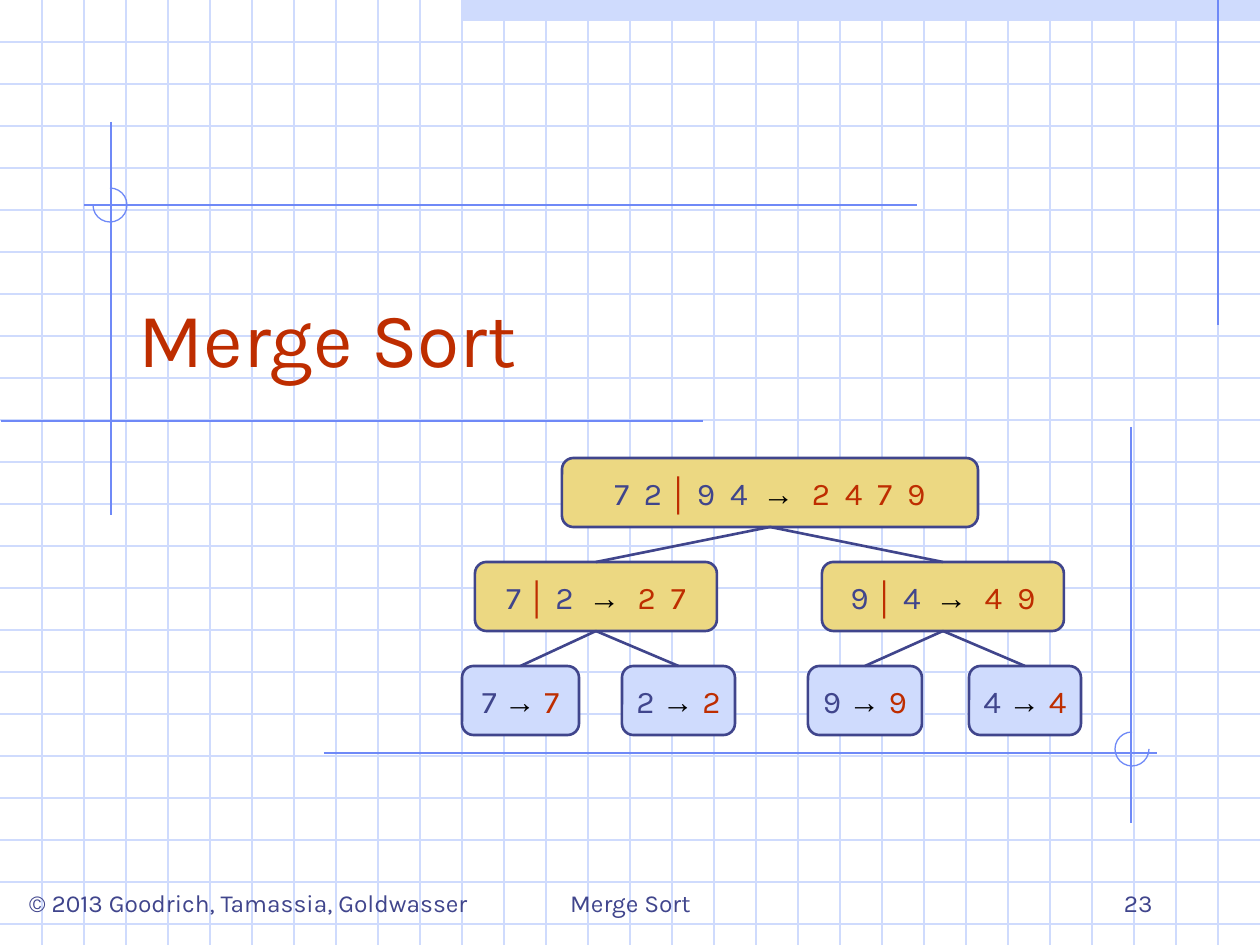
import pptx
import pptx.util
import pptx.dml.color
import pptx.enum.shapes
import pptx.enum.text
import pptx.oxml.ns
import lxml.etree

SHAPE = pptx.enum.shapes.MSO_SHAPE
ALIGN = pptx.enum.text.PP_ALIGN
ANCHOR = pptx.enum.text.MSO_ANCHOR

INK, RED, BLACK = "40458C", "BE2D00", "000000"
PALE, RULE, GOLD = "CFDBFD", "6F89F7", "ECD882"
FONT, SYMBOL_FONT = "Karla", "Arial"

WIDTH, HEIGHT, GRID = 1260, 945, 42
NODE_HEIGHT = 69

TITLE = "Merge Sort"
TITLE_BOX = (126, 231, 1071, 158)

# text, box, alignment, anchor, wrap
FOOTERS = [
    ("© 2013 Goodrich, Tamassia, Goldwasser", (4, 882, 489, 43), ALIGN.CENTER, ANCHOR.TOP, False),
    ("Merge Sort", (431, 861, 399, 63), ALIGN.CENTER, ANCHOR.BOTTOM, True),
    ("23", (903, 861, 262, 63), ALIGN.RIGHT, ANCHOR.BOTTOM, True),
]

# x1, y1, x2, y2
RULES = [
    (1218, 0, 1218, 325),
    (111, 122, 111, 515),
    (703, 421, 1, 421),
    (917, 205, 84, 205),
    (324, 753, 1157, 753),
    (1131, 427, 1131, 823),
]

# left, top, start and end angle in degrees, clockwise from the right
ARCS = [(93, 188, 270, 180), (1115, 732, 0, 270)]
ARC_SIZE = 34

# name: left, top, width, halves to sort, sorted result
NODES = {
    "root": (562, 458, 416, ["7  2", "9  4"], "2  4  7  9"),
    "left": (475, 562, 242, ["7", "2"], "2  7"),
    "right": (822, 562, 242, ["9", "4"], "4  9"),
    "seven": (462, 666, 117, ["7"], "7"),
    "two": (622, 666, 113, ["2"], "2"),
    "nine": (808, 666, 114, ["9"], "9"),
    "four": (969, 666, 112, ["4"], "4"),
}
CHILDREN = {"root": ["left", "right"], "left": ["seven", "two"], "right": ["nine", "four"]}


def px(*lengths):
    return [pptx.util.Emu(round(length * 914400 / 126)) for length in lengths]


def rgb(value):
    return pptx.dml.color.RGBColor.from_string(value)


def style_run(run, size, color, font=FONT, bold=False):
    run.font.size = pptx.util.Pt(size)
    run.font.name = font
    run.font.bold = bold
    run.font.color.rgb = rgb(color)


def style_line(shape, color, points):
    shape.line.color.rgb = rgb(color)
    shape.line.width = pptx.util.Pt(points)


def add_line(slide, x1, y1, x2, y2, color, points=0.75):
    line = slide.shapes.add_connector(
        pptx.enum.shapes.MSO_CONNECTOR.STRAIGHT, *px(x1, y1, x2, y2))
    style_line(line, color, points)
    lxml.etree.SubElement(line.element.spPr, pptx.oxml.ns.qn("a:effectLst"))
    return line


def add_background(slide):
    for y in range(GRID, HEIGHT, GRID):
        add_line(slide, 0, y, WIDTH, y, PALE)
    for x in range(GRID, WIDTH, GRID):
        add_line(slide, x, 0, x, HEIGHT, PALE)
    band = slide.shapes.add_shape(SHAPE.RECTANGLE, *px(462, 0, 798, 21))
    band.shadow.inherit = False
    band.fill.solid()
    band.fill.fore_color.rgb = rgb(PALE)
    band.line.fill.background()
    for rule in RULES:
        add_line(slide, *rule, RULE)
    for left, top, start, end in ARCS:
        arc = slide.shapes.add_shape(SHAPE.ARC, *px(left, top, ARC_SIZE, ARC_SIZE))
        arc.shadow.inherit = False
        arc.fill.background()
        style_line(arc, RULE, 0.75)
        # an adjustment of 1 stands for 100000 units of 1/60000 degree
        arc.adjustments[0] = start * 0.6
        arc.adjustments[1] = end * 0.6


def add_title(slide):
    title = slide.shapes.title
    title.left, title.top, title.width, title.height = px(*TITLE_BOX)
    title.element.getparent().append(title.element)  # in front of the grid
    frame = title.text_frame
    frame.text = TITLE
    frame.auto_size = pptx.enum.text.MSO_AUTO_SIZE.NONE
    frame.vertical_anchor = ANCHOR.BOTTOM
    frame.paragraphs[0].alignment = ALIGN.LEFT
    style_run(frame.paragraphs[0].runs[0], 44, RED)


def add_footers(slide):
    for text, box, alignment, anchor, wrap in FOOTERS:
        frame = slide.shapes.add_textbox(*px(*box)).text_frame
        frame.text = text
        frame.word_wrap = wrap
        frame.vertical_anchor = anchor
        frame.paragraphs[0].alignment = alignment
        style_run(frame.paragraphs[0].runs[0], 14, INK)


def node_runs(halves, result):
    """Return (text, colour, font, bold) for each run of a node."""
    if len(halves) == 1:
        before, gap = [(halves[0] + " ", INK, FONT, False)], " "
    else:
        before, gap = [
            (halves[0] + " ", INK, FONT, False),
            ("│", RED, SYMBOL_FONT, True),
            (f" {halves[1]}  ", INK, FONT, False),
        ], "  "
    return before + [("→" + gap, BLACK, SYMBOL_FONT, True), (result, RED, FONT, False)]


def add_node(slide, left, top, width, halves, result):
    node = slide.shapes.add_shape(
        SHAPE.ROUNDED_RECTANGLE, *px(left, top, width, NODE_HEIGHT))
    node.shadow.inherit = False
    node.fill.solid()
    node.fill.fore_color.rgb = rgb(GOLD if len(halves) > 1 else PALE)
    style_line(node, INK, 1.5)
    frame = node.text_frame
    frame.word_wrap = False
    frame.vertical_anchor = ANCHOR.MIDDLE
    paragraph = frame.paragraphs[0]
    paragraph.alignment = ALIGN.CENTER
    for text, color, font, bold in node_runs(halves, result):
        run = paragraph.add_run()
        run.text = text
        style_run(run, 18, color, font, bold)
    return node


def add_tree(slide):
    nodes = {name: add_node(slide, *node) for name, node in NODES.items()}
    for parent, children in CHILDREN.items():
        for child in children:
            branch = add_line(slide, 0, 0, 0, 0, INK, 1.5)
            branch.begin_connect(nodes[child], 0)
            branch.end_connect(nodes[parent], 2)


def main():
    presentation = pptx.Presentation()
    presentation.slide_width, presentation.slide_height = px(WIDTH, HEIGHT)
    slide = presentation.slides.add_slide(presentation.slide_layouts[5])
    add_background(slide)
    add_footers(slide)
    add_title(slide)
    add_tree(slide)
    presentation.save("out.pptx")


if __name__ == "__main__":
    main()
